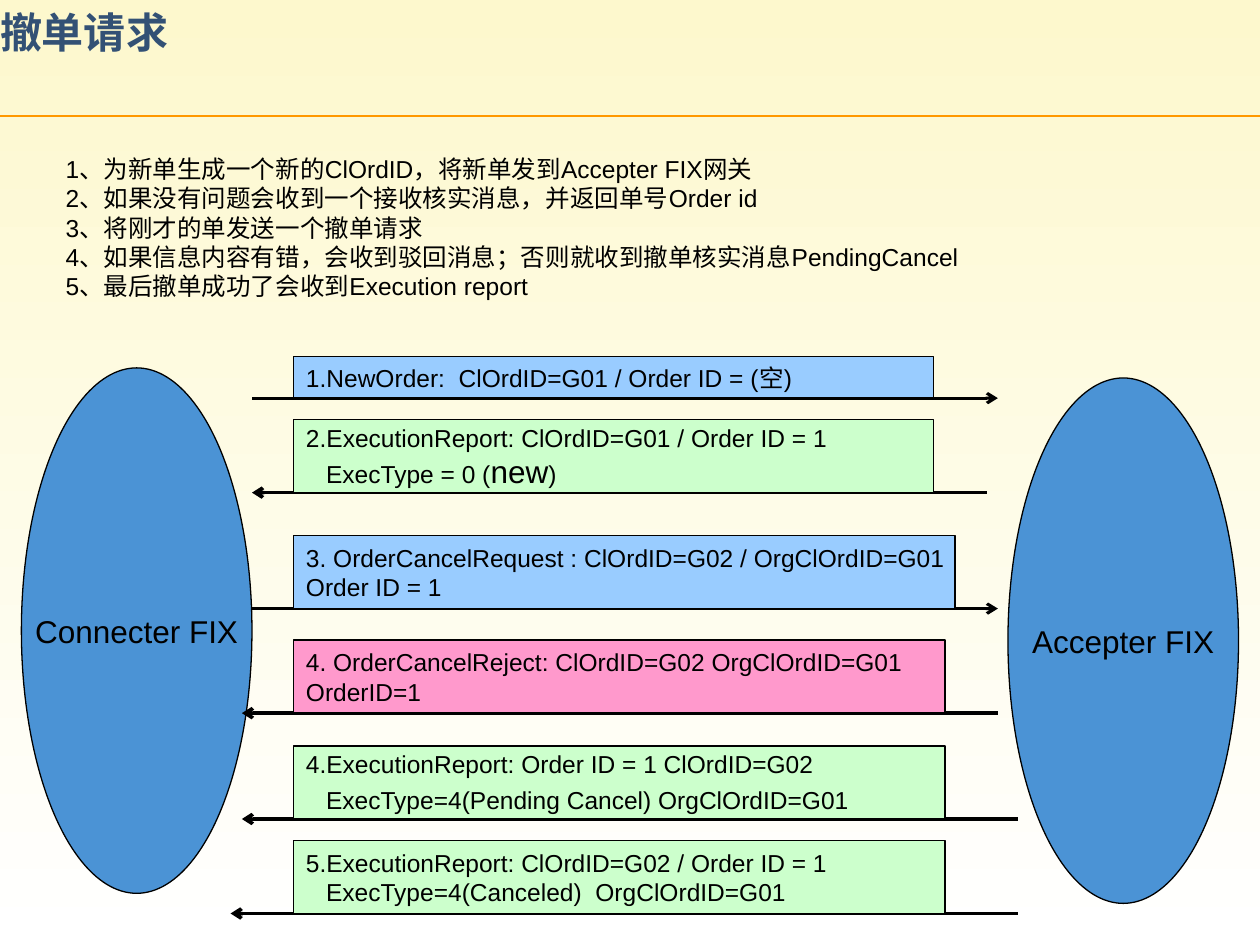
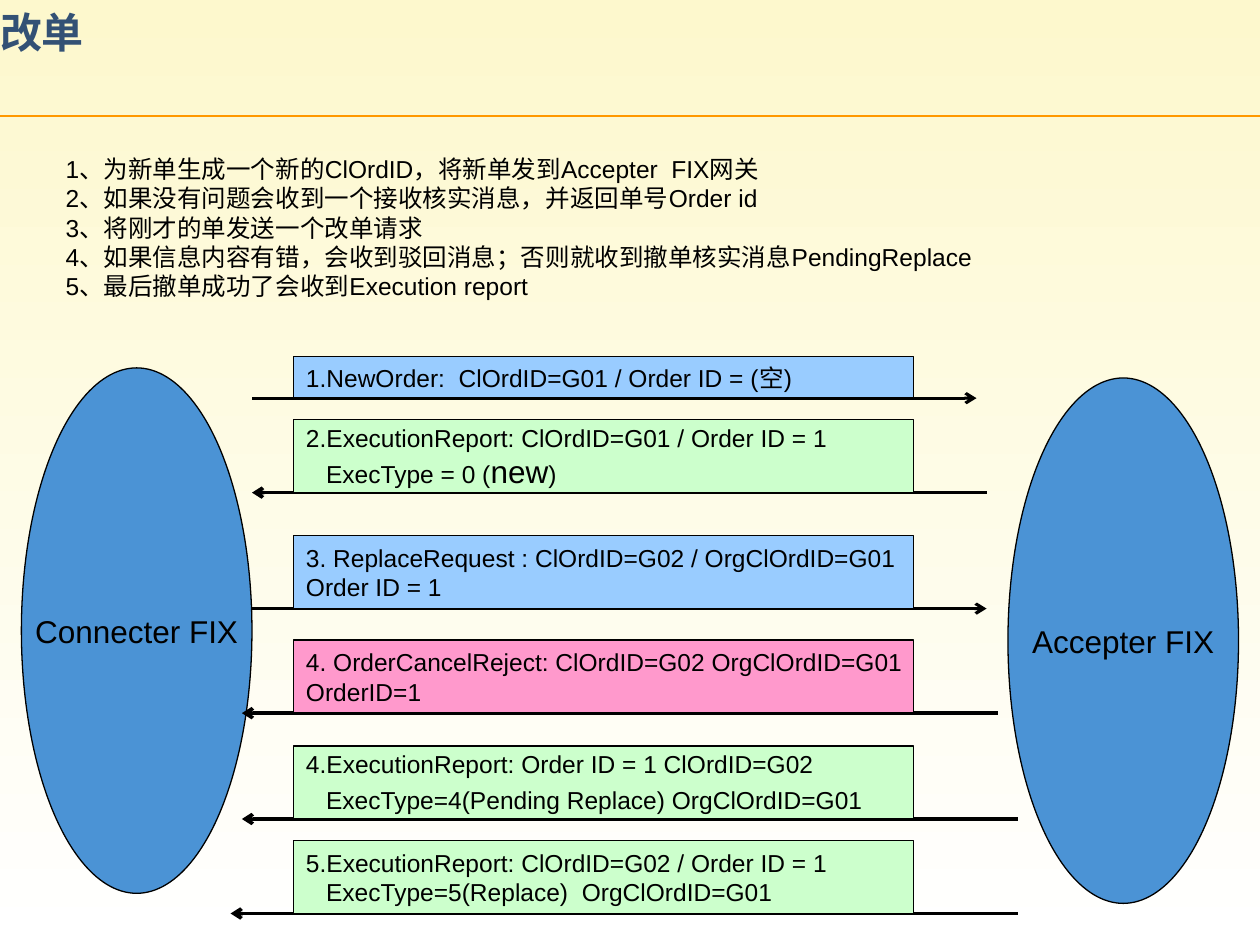
from typing import NamedTuple

from pptx import Presentation
from pptx import util as u
from pptx.dml.color import RGBColor
from pptx.enum import shapes, text
from pptx.oxml import ns, xmlchemy

# Shared colours and fonts
CREAM = RGBColor(0xFD, 0xF8, 0xCD)
WHITE = RGBColor(0xFF, 0xFF, 0xFF)
BLACK = RGBColor(0x00, 0x00, 0x00)
ORANGE = RGBColor(0xFF, 0x99, 0x00)
NAVY = RGBColor(0x33, 0x51, 0x75)
BLUE = RGBColor(0x4B, 0x93, 0xD5)
SKY = RGBColor(0x99, 0xCC, 0xFF)
MINT = RGBColor(0xCC, 0xFF, 0xCC)
PINK = RGBColor(0xFF, 0x99, 0xCC)
LATIN = "Arial"
HAN = "Noto Sans CJK SC"

LEFT = 2.33    # left edge of every message box
INDENT = 0.16  # second line of a report


class Run(NamedTuple):
    words: str
    size: int = 14


class Line(NamedTuple):
    runs: list[Run]
    indent: float = 0


class Party(NamedTuple):
    name: str
    left: float
    top: float


class Row(NamedTuple):
    top: float
    high: float
    fill: RGBColor
    start: float     # left end of the arrow
    sends: bool      # True: the arrow points right


class Note(NamedTuple):
    wide: float
    end: float       # right end of the arrow
    lines: list[Line]


class Page(NamedTuple):
    title: str
    steps: list[str]
    notes: list[Note]


# Parts that both slides show
PARTIES = [Party("Connecter FIX", 0.17, 2.92), Party("Accepter FIX", 8, 3)]
ROWS = [
    Row(2.83, 0.33, SKY, 2, True),
    Row(3.33, 0.58, MINT, 2, False),
    Row(4.25, 0.58, SKY, 2, True),
    Row(5.08, 0.58, PINK, 1.92, False),
    Row(5.92, 0.58, MINT, 1.92, False),
    Row(6.67, 0.58, MINT, 1.83, False),
]


def plain(words: str, indent: float = 0) -> Line:
    return Line([Run(words)], indent)


def steps(first: str, act: str, state: str) -> list[str]:
    return [
        f"1、为新单生成一个新的ClOrdID，将新单发到{first}网关",
        "2、如果没有问题会收到一个接收核实消息，并返回单号Order id",
        f"3、将刚才的单发送一个{act}请求",
        f"4、如果信息内容有错，会收到驳回消息；否则就收到撤单核实消息{state}",
        "5、最后撤单成功了会收到Execution report",
    ]


def notes(wides: list[float], ends: list[float], ask: str,
          wait: str, done: str) -> list[Note]:
    bodies = [
        [plain("1.NewOrder:  ClOrdID=G01 / Order ID = (空)")],
        [plain("2.ExecutionReport: ClOrdID=G01 / Order ID = 1"),
         Line([Run("ExecType = 0 ("), Run("new", 18), Run(")")], INDENT)],
        [plain(f"3. {ask} : ClOrdID=G02 / OrgClOrdID=G01"),
         plain("Order ID = 1")],
        [plain("4. OrderCancelReject: ClOrdID=G02 OrgClOrdID=G01"),
         plain("OrderID=1")],
        [plain("4.ExecutionReport: Order ID = 1 ClOrdID=G02"),
         Line([Run(f"ExecType=4({wait}) OrgClOrdID=G01"), Run(" ", 18)],
              INDENT)],
        [plain("5.ExecutionReport: ClOrdID=G02 / Order ID = 1"),
         plain(f"ExecType={done}  OrgClOrdID=G01", INDENT)],
    ]
    return [Note(*parts) for parts in zip(wides, ends, bodies)]


PAGES = [
    Page("撤单请求", steps("Accepter FIX", "撤单", "PendingCancel"),
         notes([5.08] * 2 + [5.25] + [5.17] * 3,
               [7.92, 7.83, 7.92, 7.92, 8.08, 8.08],
               "OrderCancelRequest", "Pending Cancel", "4(Canceled)")),
    Page("改单", steps("Accepter  FIX", "改单", "PendingReplace"),
         notes([4.92] * 6,
               [7.75, 7.83, 7.83, 7.92, 8.08, 8.08],
               "ReplaceRequest", "Pending Replace", "5(Replace)")),
]


def assign(item, values: dict) -> None:
    for key, value in values.items():
        setattr(item, key, value)


def place(shape, left: float, top: float, wide: float, high: float) -> None:
    assign(shape, {"left": u.Inches(left), "top": u.Inches(top),
                   "width": u.Inches(wide), "height": u.Inches(high)})


def write(frame, lines: list[Line], align=text.PP_ALIGN.LEFT,
          face: str = LATIN, color: RGBColor = BLACK,
          bold: bool = False) -> None:
    """Fill a text frame, one paragraph for each line."""
    for i, line in enumerate(lines):
        para = frame.add_paragraph() if i else frame.paragraphs[0]
        assign(para, {"alignment": align, "space_before": u.Pt(0)})
        props = para._p.get_or_add_pPr()
        props.set("marL", str(u.Inches(line.indent)))
        props.set("indent", "0")
        props.append(xmlchemy.OxmlElement("a:buNone"))
        for part in line.runs:
            run = para.add_run()
            run.text = part.words
            assign(run.font, {"name": face, "size": u.Pt(part.size),
                              "bold": bold})
            run.font.color.rgb = color
            asian = xmlchemy.OxmlElement("a:ea")
            asian.set("typeface", face)
            run.font._element.find(ns.qn("a:latin")).addnext(asian)


def rule(slide, start: float, end: float, y: float, color: RGBColor,
         thick: float, tip: str = ""):
    """Draw a level line; tip is headEnd, tailEnd or empty."""
    line = slide.shapes.add_connector(
        shapes.MSO_CONNECTOR.STRAIGHT, u.Inches(start), u.Inches(y),
        u.Inches(end), u.Inches(y))
    line.line.color.rgb = color
    line.line.width = u.Pt(thick)
    props = line.element.spPr
    if tip:
        mark = xmlchemy.OxmlElement(f"a:{tip}")
        mark.set("type", "arrow")
        props.find(ns.qn("a:ln")).append(mark)
    props.append(xmlchemy.OxmlElement("a:effectLst"))
    return line


def block(slide, kind, box: tuple, fill: RGBColor, lines: list[Line],
          align=text.PP_ALIGN.LEFT) -> None:
    shape = slide.shapes.add_shape(kind, *map(u.Inches, box))
    shape.shadow.inherit = False
    shape.fill.solid()
    shape.fill.fore_color.rgb = fill
    shape.line.color.rgb = BLACK
    shape.line.width = u.Pt(0.75)
    assign(shape.text_frame, {"word_wrap": False,
                              "vertical_anchor": text.MSO_ANCHOR.MIDDLE})
    write(shape.text_frame, lines, align)


def backdrop(master, slide) -> None:
    """Give the master its gradient and the orange rule."""
    fill = master.background.fill
    fill.gradient()
    fill.gradient_angle = 270
    for stop, color in zip(fill.gradient_stops, (CREAM, WHITE)):
        stop.color.rgb = color
    line = rule(slide, 0, 10, 0.92, ORANGE, 1.5)
    line.element.nvCxnSpPr.cNvPr.set("id", "20")
    master.shapes.element.append(line.element)


def heads(slide, page: Page) -> None:
    """Fill the title and the list of steps."""
    title, body = slide.shapes.title, slide.placeholders[1]
    place(title, 0, 0, 9.58, 0.83)
    place(body, 0.42, 1.17, 9, 1.27)
    for shape in (title, body):
        assign(shape.text_frame, {"word_wrap": True,
                                  "auto_size": text.MSO_AUTO_SIZE.NONE,
                                  "vertical_anchor": text.MSO_ANCHOR.TOP})
    assign(title.text_frame, {"margin_left": 0, "margin_right": 0})
    write(title.text_frame, [Line([Run(page.title, 24)])], face=HAN,
          color=NAVY, bold=True)
    write(body.text_frame, [plain(step) for step in page.steps])


def flow(slide, page: Page) -> None:
    """Draw both parties and the messages between them."""
    for party in PARTIES:
        block(slide, shapes.MSO_SHAPE.OVAL,
              (party.left, party.top, 1.83, 4.17), BLUE,
              [Line([Run(party.name, 18)])], text.PP_ALIGN.CENTER)
    for row, note in zip(ROWS, page.notes):
        tip, thick = ("tailEnd", 1.75) if row.sends else ("headEnd", 2)
        rule(slide, row.start, note.end, row.top + row.high, BLACK,
             thick, tip)
        block(slide, shapes.MSO_SHAPE.RECTANGLE,
              (LEFT, row.top, note.wide, row.high), row.fill, note.lines)


def main() -> None:
    deck = Presentation()
    deck.slide_width, deck.slide_height = u.Inches(10), u.Inches(7.5)
    for i, page in enumerate(PAGES):
        slide = deck.slides.add_slide(deck.slide_layouts[1])
        if i == 0:
            backdrop(deck.slide_master, slide)
        heads(slide, page)
        flow(slide, page)
    deck.save("out.pptx")


if __name__ == "__main__":
    main()
